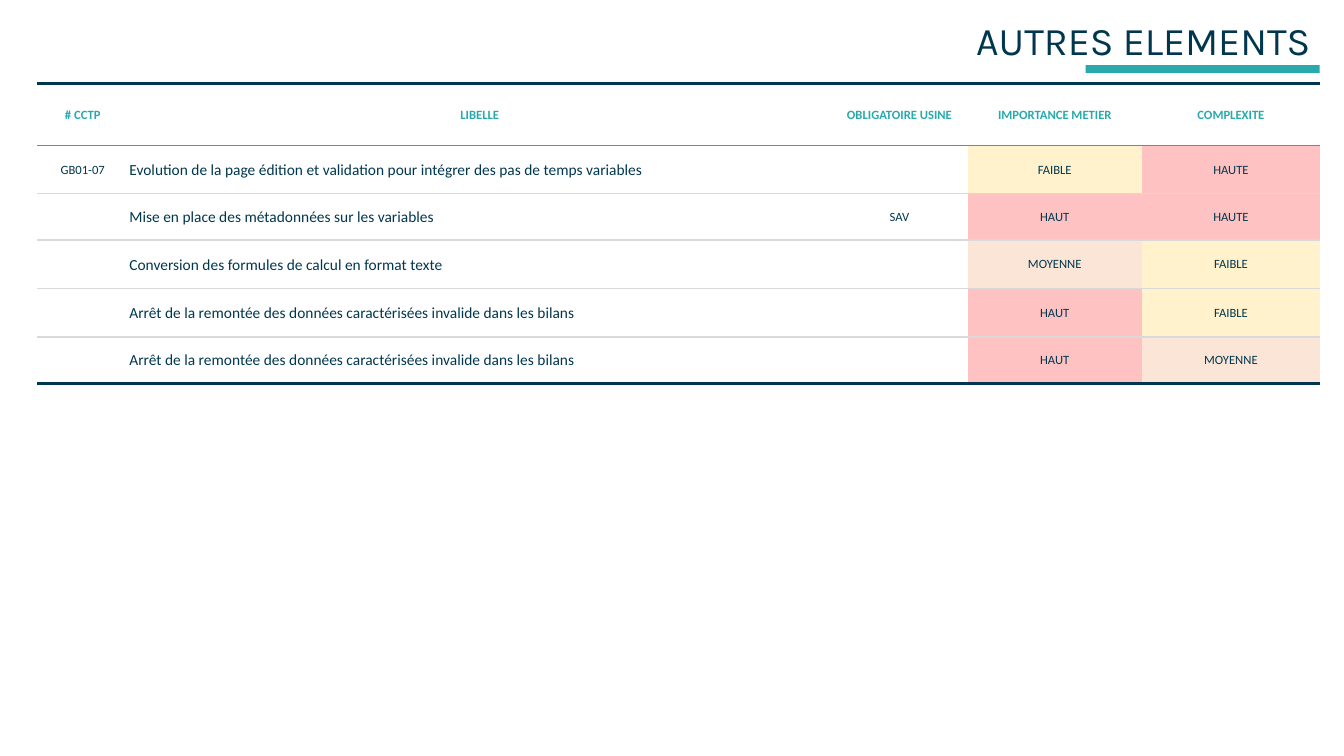
from lxml import etree
from pptx import Presentation
from pptx import util as u
from pptx.dml.color import RGBColor
from pptx.enum import shapes, text
from pptx.oxml.ns import qn

NAVY, TEAL, GREY, WHITE = "00374F", "28AAAD", "D9D9D9", "FFFFFF"
YELLOW, PINK, PEACH = "FFF2CC", "FEC2C2", "FBE5D6"
LEVEL_FILLS = {"FAIBLE": YELLOW, "MOYENNE": PEACH, "HAUT": PINK, "HAUTE": PINK}
COLUMN_WIDTHS = [2.31, 17.7, 3.45, 4.38, 4.5]
ROW_HEIGHTS = [1.55, 1.22, 1.17, 1.22, 1.22, 1.17]
ROWS = [
    ["# CCTP", "LIBELLE", "OBLIGATOIRE USINE", "IMPORTANCE METIER", "COMPLEXITE"],
    ["GB01-07", "Evolution de la page édition et validation pour intégrer des pas de temps variables",
     "", "FAIBLE", "HAUTE"],
    ["", "Mise en place des métadonnées sur les variables", "SAV", "HAUT", "HAUTE"],
    ["", "Conversion des formules de calcul en format texte", "", "MOYENNE", "FAIBLE"],
    ["", "Arrêt de la remontée des données caractérisées invalide dans les bilans", "", "HAUT", "FAIBLE"],
    ["", "Arrêt de la remontée des données caractérisées invalide dans les bilans", "", "HAUT", "MOYENNE"],
]


def color(value):
    return RGBColor.from_string(value)


class SlideBuilder:
    body_font = "Calibri"
    title_font = "Karla"

    def __init__(self, slide):
        self.slide = slide

    def set_text(self, text_frame, content, font, size, ink, align, bold=False):
        text_frame.text = content
        paragraph = text_frame.paragraphs[0]
        paragraph.alignment = align
        for item in [paragraph, *paragraph.runs]:
            item.font.name = font
            item.font.size = u.Pt(size)
            item.font.bold = bold
            item.font.color.rgb = color(ink)

    def bar(self, left, top, width, height, fill):
        shape = self.slide.shapes.add_shape(
            shapes.MSO_SHAPE.RECTANGLE, u.Cm(left), u.Cm(top), u.Cm(width), u.Cm(height))
        shape.shadow.inherit = False
        shape.fill.solid()
        shape.fill.fore_color.rgb = color(fill)
        shape.line.fill.background()

    def title(self, content, left, top, width, height):
        shape = self.slide.shapes.add_textbox(u.Cm(left), u.Cm(top), u.Cm(width), u.Cm(height))
        text_frame = shape.text_frame
        text_frame.word_wrap = True
        text_frame.vertical_anchor = text.MSO_ANCHOR.BOTTOM
        self.set_text(text_frame, content, self.title_font, 28, NAVY, text.PP_ALIGN.RIGHT)
        text_frame.paragraphs[0].line_spacing = 0.9

    def borders(self, cell, top, bottom):
        properties = cell._tc.get_or_add_tcPr()
        edges = [("a:lnL", None), ("a:lnR", None), ("a:lnT", top), ("a:lnB", bottom)]
        for position, (tag, edge) in enumerate(edges):
            line = etree.Element(qn(tag))
            if edge:
                ink, width = edge
                line.set("w", str(u.Pt(width)))
                fill = etree.SubElement(line, qn("a:solidFill"))
                etree.SubElement(fill, qn("a:srgbClr"), val=ink)
            else:
                etree.SubElement(line, qn("a:noFill"))
            properties.insert(position, line)

    def cell(self, cell, content, header, label):
        cell.margin_left = cell.margin_right = cell.margin_top = u.Cm(0.02)
        cell.margin_bottom = 0
        cell.vertical_anchor = text.MSO_ANCHOR.MIDDLE
        cell.fill.solid()
        cell.fill.fore_color.rgb = color(LEVEL_FILLS.get(content, WHITE))
        self.set_text(cell.text_frame, content, self.body_font, 11 if label else 9,
                      TEAL if header else NAVY,
                      text.PP_ALIGN.LEFT if label else text.PP_ALIGN.CENTER, header)

    def table(self, rows, left, top, widths, heights):
        table = self.slide.shapes.add_table(
            len(rows), len(widths), u.Cm(left), u.Cm(top),
            u.Cm(sum(widths)), u.Cm(sum(heights))).table
        table.first_row = table.horz_banding = False
        for column, width in zip(table.columns, widths):
            column.width = u.Cm(width)
        for row, height in zip(table.rows, heights):
            row.height = u.Cm(height)
        edges = [(NAVY, 2.25), (TEAL, 1), *[(GREY, 1)] * (len(rows) - 2), (NAVY, 2.25)]
        for row_index, row in enumerate(rows):
            for column_index, content in enumerate(row):
                cell = table.cell(row_index, column_index)
                header = row_index == 0
                self.cell(cell, content, header, column_index == 1 and not header)
                self.borders(cell, edges[row_index], edges[row_index + 1])


def main():
    presentation = Presentation()
    presentation.slide_width = u.Cm(33.87)
    presentation.slide_height = u.Cm(19.05)
    builder = SlideBuilder(presentation.slides.add_slide(presentation.slide_layouts[6]))
    builder.bar(27.36, 1.64, 5.9, 0.2, TEAL)
    builder.title("AUTRES ELEMENTS", 6.45, 0, 26.82, 1.73)
    builder.table(ROWS, 0.93, 2.11, COLUMN_WIDTHS, ROW_HEIGHTS)
    presentation.save("out.pptx")


if __name__ == "__main__":
    main()
